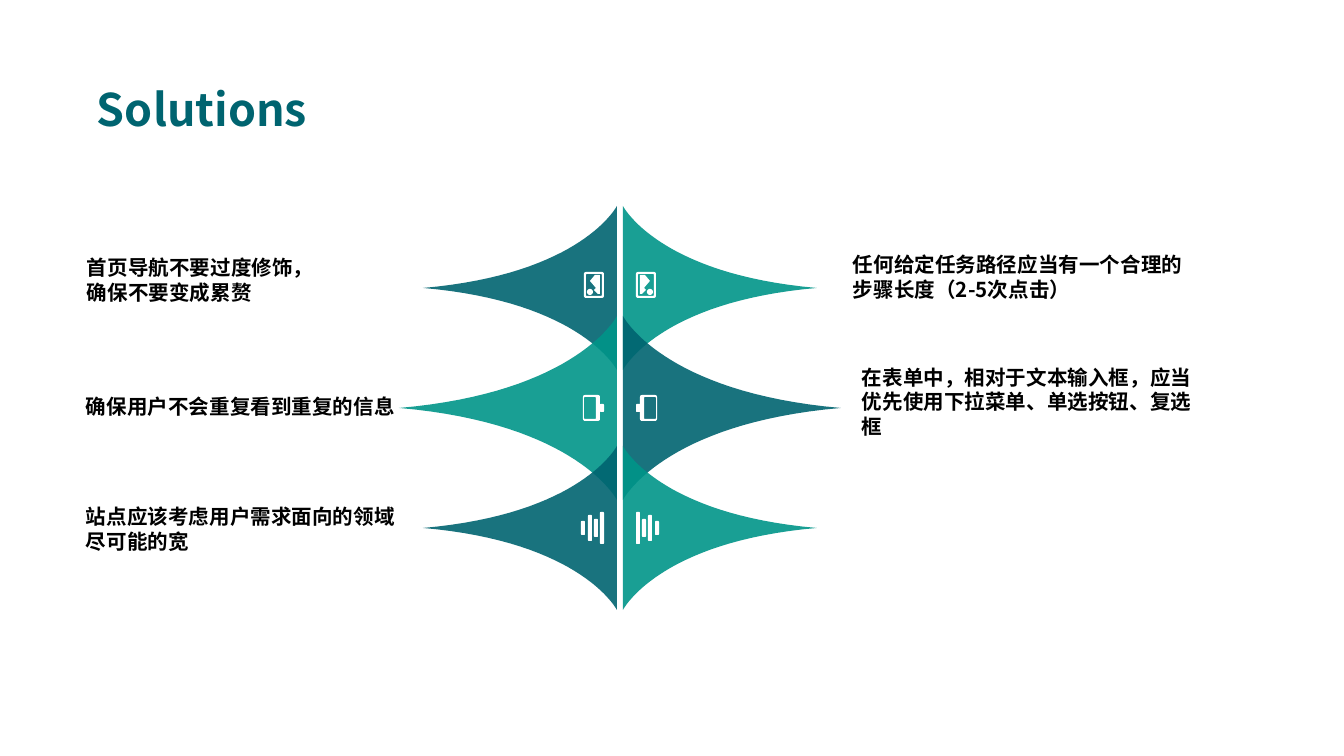
from math import cos, pi, sin
from lxml.etree import SubElement as Sub
from pptx import Presentation as Deck
from pptx.dml.color import RGBColor as Rgb
from pptx.enum.text import MSO_ANCHOR as Anchor, PP_ALIGN as Align
from pptx.oxml.ns import qn
from pptx.util import Pt

SCALE = 914400 / 134.4
FONT = "Noto Sans CJK SC"
INK = {"deep": "006470", "teal": "009589", "white": "FFFFFF", "black": "000000"}
AXIS, GAP = 620, 3
TOP, STEP = 288, 120
PETALS = [(194, 82), (218, 92), (194, 82)]
TONES = {-1: ["deep", "teal", "deep"], 1: ["teal", "deep", "teal"]}
TITLE = {"size": Pt(24), "bold": True, "name": FONT}
BODY = {"size": Pt(11), "bold": True, "name": FONT}
NOTES = [
    ((35, 241, 413, 77), ["首页导航不要过度修饰，", "确保不要变成累赘"]),
    ((34, 367, 458, 79), ["确保用户不会重复看到重复的信息"]),
    ((34, 489, 458, 79), ["站点应该考虑用户需求面向的领域", "尽可能的宽"]),
    ((810, 362, 458, 79),
     ["在表单中，相对于文本输入框，应当", "优先使用下拉菜单、单选按钮、复选", "框"]),
    ((801, 237, 458, 79), ["任何给定任务路径应当有一个合理的", "步骤长度（2-5次点击）"]),
]


def px(n):
    return round(n * SCALE)


def curve(a, b, c, d, steps=32):
    spots = []
    for i in range(steps + 1):
        t = i / steps
        u = 1 - t
        parts = (u ** 3, 3 * u * u * t, 3 * u * t * t, t ** 3)
        spots.append(tuple(sum(w * p[k] for w, p in zip(parts, (a, b, c, d)))
                           for k in (0, 1)))
    return spots


def petal(wide, half):
    top, tip = (GAP, -half), (GAP + wide, 0)
    bend = (GAP + 0.18 * wide, -half / 6)
    upper = curve(top, top, bend, tip)
    return [upper + [(x, -y) for x, y in reversed(upper[:-1])]]


def box(left, top, right, low, r=1):
    hubs = [(right - r, low - r), (left + r, low - r),
            (left + r, top + r), (right - r, top + r)]
    return [(x + r * cos((q + i / 6) * pi / 2), y + r * sin((q + i / 6) * pi / 2))
            for q, (x, y) in enumerate(hubs) for i in range(7)]


def icons():
    arrow = [(20, -13), (20, 6), (22, 6), (26, 2), (24, 0), (30, -7), (25, -13)]
    card = [box(16, -16, 36, 10, 2), box(18, -14, 34, 8), box(27, 1, 33, 7, 3), arrow]
    plug = [box(20, -13, 37, 13, 2), box(24, -11, 36, 11), box(16, -4, 20, 4)]
    bars = [box(x, -h, x + 4, h)
            for x, h in ((16, 16), (22, 9), (28, 13), (35, 7))]
    return [card, plug, bars]


def draw(slide, rings, side, mid, tone, alpha=100):
    rings = [[(px(AXIS + side * x), px(mid + y)) for x, y in ring] for ring in rings]
    pen = slide.shapes.build_freeform(*rings[0][0])
    for i, ring in enumerate(rings):
        if i:
            pen.move_to(*ring[0])
        pen.add_line_segments(ring[1:], close=True)
    shape = pen.convert_to_shape()
    shape.shadow.inherit = False
    shape.line.fill.background()
    shape.fill.solid()
    shape.fill.fore_color.rgb = Rgb.from_string(INK[tone])
    if alpha < 100:
        color = shape.fill._xPr.find(qn("a:solidFill"))[0]
        Sub(color, qn("a:alpha"), val=str(alpha * 1000))


def write(slide, area, lines, look, tone, pads, wrap, pitch=None):
    frame = slide.shapes.add_textbox(*map(px, area)).text_frame
    left, top, right, low = map(px, pads)
    form = {"margin_left": left, "margin_top": top, "margin_right": right,
            "margin_bottom": low, "word_wrap": wrap,
            "vertical_anchor": Anchor.MIDDLE}
    for key, val in form.items():
        setattr(frame, key, val)
    for i, line in enumerate(lines):
        para = frame.add_paragraph() if i else frame.paragraphs[0]
        para.alignment = Align.LEFT
        if pitch:
            para.line_spacing = Pt(pitch)
        run = para.add_run()
        run.text = line
        for key, val in look.items():
            setattr(run.font, key, val)
        run.font.color.rgb = Rgb.from_string(INK[tone])
        Sub(run._r.get_or_add_rPr(), qn("a:ea"), typeface=FONT)


def main():
    deck = Deck()
    deck.slide_width, deck.slide_height = px(1344), px(756)
    slide = deck.slides.add_slide(deck.slide_layouts[6])
    signs = icons()
    for side, tones in TONES.items():
        for row, (size, tone, sign) in enumerate(zip(PETALS, tones, signs)):
            mid = TOP + row * STEP
            draw(slide, petal(*size), side, mid, tone, 90)
            draw(slide, sign, side, mid, "white")
    write(slide, (97, 81, 313, 56), ["Solutions"], TITLE, "deep", (0, 7, 0, 7), True)
    for area, lines in NOTES:
        write(slide, area, lines, BODY, "black", (52, 0, 42, 0), False, 13.2)
    deck.save("out.pptx")


if __name__ == "__main__":
    main()
